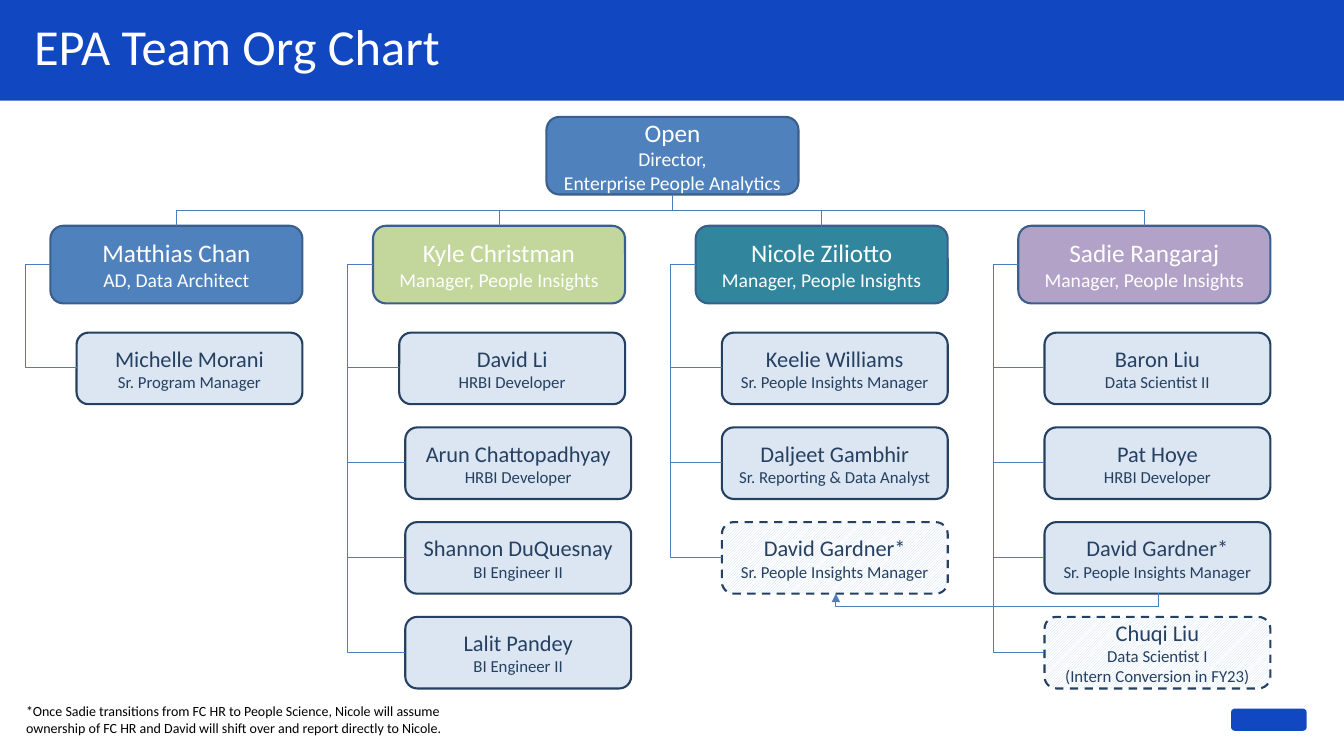
from lxml.etree import SubElement
from pptx import Presentation
from pptx.dml.color import RGBColor
from pptx.enum.dml import MSO_LINE, MSO_PATTERN
from pptx.enum.shapes import MSO_CONNECTOR, MSO_SHAPE
from pptx.enum.text import MSO_ANCHOR as Anchor, PP_ALIGN as Align
from pptx.oxml.ns import qn
from pptx.util import Pt

PX = 9144  # EMU in one px, 100 px to the inch

WHITE = RGBColor(0xFF, 0xFF, 0xFF)
BLACK = RGBColor(0x00, 0x00, 0x00)
BRAND_BLUE = RGBColor(0x11, 0x48, 0xC2)
BLUE = RGBColor(0x4F, 0x81, 0xBD)
GREEN = RGBColor(0xC3, 0xD6, 0x9B)
TEAL = RGBColor(0x31, 0x85, 0x9C)
PURPLE = RGBColor(0xB3, 0xA2, 0xC7)
PALE_BLUE = RGBColor(0xDC, 0xE6, 0xF2)
HATCH_BLUE = RGBColor(0xC6, 0xD9, 0xF1)
NAVY = RGBColor(0x25, 0x40, 0x61)
LEADER_EDGE = RGBColor(0x3A, 0x5F, 0x8C)
LINK_BLUE = RGBColor(0x4B, 0x7E, 0xBC)

LEADER_W, LEADER_H = 250, 77
REPORT_W, REPORT_H = 224, 71
DIRECTOR_LEFT, DIRECTOR_TOP = 542, 116
MANAGER_LEFT, MANAGER_TOP, MANAGER_PITCH = 50, 224, 320
REPORT_TOP, REPORT_PITCH = 330, 94
SPINE_GAP = 25  # from a manager's left edge to the line of reports

# Manager, role, fill, reports; a report is name, role lines, extra indent, planned
TEAMS = [
    ("Matthias Chan", "AD, Data Architect", BLUE, [
        ("Michelle Morani", ["Sr. Program Manager"], 0, False)]),
    ("Kyle Christman", "Manager, People Insights", GREEN, [
        ("David Li", ["HRBI Developer"], 0, False),
        ("Arun Chattopadhyay", ["HRBI Developer"], 6, False),
        ("Shannon DuQuesnay", ["BI Engineer II"], 6, False),
        ("Lalit Pandey", ["BI Engineer II"], 6, False)]),
    ("Nicole Ziliotto", "Manager, People Insights", TEAL, [
        ("Keelie Williams", ["Sr. People Insights Manager"], 0, False),
        ("Daljeet Gambhir", ["Sr. Reporting & Data Analyst"], 0, False),
        ("David Gardner*", ["Sr. People Insights Manager"], 0, True)]),
    ("Sadie Rangaraj", "Manager, People Insights", PURPLE, [
        ("Baron Liu", ["Data Scientist II"], 0, False),
        ("Pat Hoye", ["HRBI Developer"], 0, False),
        ("David Gardner*", ["Sr. People Insights Manager"], 0, False),
        ("Chuqi Liu", ["Data Scientist I", "(Intern Conversion in FY23)"], 0, True)]),
]


def write_text(frame, paragraphs, color, font="Calibri", align=Align.LEFT,
               anchor=Anchor.TOP, spacing=None):
    """Each paragraph is a list of (text, size) lines."""
    frame.word_wrap = True
    frame.vertical_anchor = anchor
    for index, lines in enumerate(paragraphs):
        para = frame.add_paragraph() if index else frame.paragraphs[0]
        para.alignment = align
        if spacing:
            para.line_spacing = spacing
        for number, (text, size) in enumerate(lines):
            if number:
                para.add_line_break()
            span = para.add_run()
            span.text = text
            span.font.name = font
            span.font.size = Pt(size)
            span.font.color.rgb = color


class OrgChart:
    def __init__(self, slide):
        self.shapes = slide.shapes

    def block(self, kind, left, top, width, height, fill):
        shape = self.shapes.add_shape(kind, left * PX, top * PX, width * PX, height * PX)
        shape.shadow.inherit = False
        shape.fill.solid()
        shape.fill.fore_color.rgb = fill
        shape.line.fill.background()
        return shape

    def text(self, left, top, width, height, text, size, color, **style):
        box = self.shapes.add_textbox(left * PX, top * PX, width * PX, height * PX)
        write_text(box.text_frame, [[(text, size)]], color, **style)

    def card(self, left, top, width, height, name, roles, sizes, fill, edge, color):
        card = self.block(MSO_SHAPE.ROUNDED_RECTANGLE, left, top, width, height, fill)
        card.line.color.rgb = edge
        card.line.width = Pt(1.5)
        name_size, role_size = sizes
        paragraphs = [[(name, name_size), (roles[0], role_size)]]
        paragraphs += [[(role, role_size)] for role in roles[1:]]
        write_text(card.text_frame, paragraphs, color, align=Align.CENTER,
                   anchor=Anchor.MIDDLE)
        return card

    def leader(self, left, top, name, roles, fill):
        self.card(left, top, LEADER_W, LEADER_H, name, roles, (18, 14), fill,
                  LEADER_EDGE, WHITE)

    def report(self, left, top, name, roles, planned):
        card = self.card(left, top, REPORT_W, REPORT_H, name, roles, (16, 12),
                         PALE_BLUE, NAVY, NAVY)
        if planned:
            card.fill.patterned()
            card.fill.pattern = MSO_PATTERN.LIGHT_UPWARD_DIAGONAL
            card.fill.fore_color.rgb = HATCH_BLUE
            card.fill.back_color.rgb = WHITE
            card.line.dash_style = MSO_LINE.DASH

    def elbow(self, start, end, bend=0.5, upright=False, arrow=False):
        """Bend is the share of the way to the turn; upright leaves vertically."""
        (x1, y1), (x2, y2) = [(x * PX, y * PX) for x, y in (start, end)]
        turn = 0
        if upright:
            # Swap the sides about the centre, then rotate into place
            mid_x, mid_y = (x1 + x2) // 2, (y1 + y2) // 2
            half_w, half_h = (y2 - y1) // 2, abs(x2 - x1) // 2
            turn = 270 if x2 > x1 else 90
            if turn == 270:
                half_w = -half_w
            x1, x2 = mid_x - half_w, mid_x + half_w
            y1, y2 = mid_y - half_h, mid_y + half_h
        link = self.shapes.add_connector(MSO_CONNECTOR.ELBOW, x1, y1, x2, y2)
        link.line.color.rgb = LINK_BLUE
        link.line.width = Pt(0.75)
        properties = link.element.spPr
        if turn:
            properties.find(qn("a:xfrm")).set("rot", str(turn * 60000))
        guides = properties.find(qn("a:prstGeom")).get_or_add_avLst()
        SubElement(guides, qn("a:gd"), name="adj1", fmla=f"val {round(bend * 100000)}")
        if arrow:
            SubElement(properties.find(qn("a:ln")), qn("a:tailEnd"), type="triangle")
        SubElement(properties, qn("a:effectLst"))


def main():
    deck = Presentation()
    deck.slide_width, deck.slide_height = 1333 * PX, 750 * PX
    chart = OrgChart(deck.slides.add_slide(deck.slide_layouts[6]))

    # Header band, title and corner mark
    chart.block(MSO_SHAPE.RECTANGLE, 0, 0, 1333, 100, BRAND_BLUE)
    chart.text(24, 17, 1272, 71, "EPA Team Org Chart", 36, WHITE, spacing=0.9)
    chart.block(MSO_SHAPE.ROUNDED_RECTANGLE, 1221, 703, 75, 22, BRAND_BLUE)

    # Director
    chart.leader(DIRECTOR_LEFT, DIRECTOR_TOP, "Open",
                 ["Director,", "Enterprise People Analytics"], BLUE)
    director_foot = (DIRECTOR_LEFT + LEADER_W // 2, DIRECTOR_TOP + LEADER_H)

    # Managers with their reports
    for column, (manager, role, fill, reports) in enumerate(TEAMS):
        left = MANAGER_LEFT + column * MANAGER_PITCH
        chart.leader(left, MANAGER_TOP, manager, [role], fill)
        chart.elbow(director_foot, (left + LEADER_W // 2, MANAGER_TOP), upright=True)
        for row, (name, roles, extra, planned) in enumerate(reports):
            indent = LEADER_W - REPORT_W + extra
            top = REPORT_TOP + row * REPORT_PITCH
            chart.report(left + indent, top, name, roles, planned)
            chart.elbow((left, MANAGER_TOP + LEADER_H // 2),
                        (left + indent, top + REPORT_H // 2), bend=-SPINE_GAP / indent)

    # Planned move and its footnote
    chart.elbow((1149, 588), (829, 589), bend=14, upright=True, arrow=True)
    chart.text(16, 692, 454, 44,
               "*Once Sadie transitions from FC HR to People Science, Nicole will assume "
               "ownership of FC HR and David will shift over and report directly to Nicole.",
               10, BLACK)

    deck.save("out.pptx")


if __name__ == "__main__":
    main()
